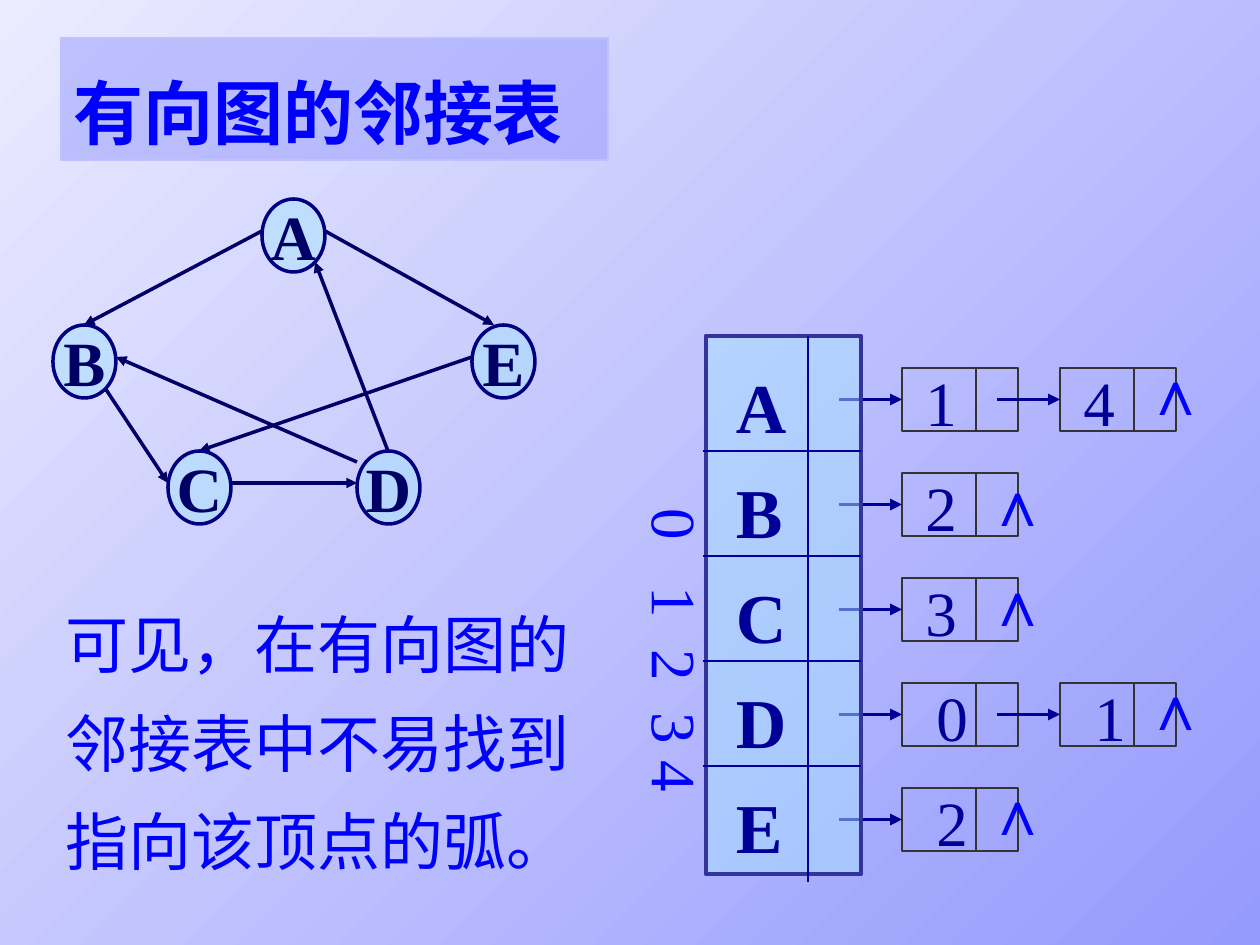
"""Slide on the adjacency list of a directed graph."""
from lxml.etree import SubElement
from pptx import Presentation
from pptx.dml.color import RGBColor
from pptx.enum.shapes import MSO_CONNECTOR, MSO_SHAPE
from pptx.enum.text import MSO_ANCHOR, PP_ALIGN
from pptx.oxml.ns import qn
from pptx.util import Pt

PX = 914400 / 126
COLORS = {
    "light": "EBEBFF", "shade": "959AFD", "title_line": "BEC1FE", "blue": "0000FF",
    "cyan": "A7E2FF", "ring": "000080", "edge": "000066", "ink": "000099",
    "frame": "333399", "cell": "333333",
}
SERIF = "Times New Roman"
TITLE = "有向图的邻接表"
REMARK = "可见，在有向图的邻接表中不易找到指向该顶点的弧。"
VERTICES = {"A": (262, 199), "B": (53, 325), "E": (472, 325), "C": (168, 451), "D": (357, 451)}
ARCS = [
    ((262, 231), (84, 325)), ((105, 388), (168, 483)), ((231, 483), (357, 483)),
    ((388, 451), (315, 262)), ((325, 231), (494, 325)), ((357, 462), (116, 357)),
    ((472, 357), (199, 451)),
]
INDEX_TOPS = {"0": 496, "1": 575, "2": 638, "3": 701, "4": 748}
ROWS = [
    {"targets": "14", "indent": 11, "caret": -22},
    {"targets": "2", "indent": 11, "caret": -16},
    {"targets": "3", "indent": 11, "caret": -21},
    {"targets": "01", "indent": 22, "caret": -22},
    {"targets": "2", "indent": 22, "caret": -22},
]
ROW_TOP, ROW_STEP = 368, 105
NODE_LEFT, NODE_STEP, NODE_W, NODE_H = 902, 158, 116, 63


def emu(*lengths):
    return [round(length * PX) for length in lengths]


def color(name):
    return RGBColor.from_string(COLORS[name])


def write(shape, lines, size, ink, font=SERIF, bold=False, wrap=True,
          spacing=None, align=PP_ALIGN.LEFT, anchor=MSO_ANCHOR.TOP, indent=0):
    frame = shape.text_frame
    frame.word_wrap = wrap
    frame.vertical_anchor = anchor
    for number, line in enumerate(lines):
        para = frame.add_paragraph() if number else frame.paragraphs[0]
        para.text = line
        para.alignment = align
        if spacing:
            para.line_spacing = spacing
        if indent:
            para._p.get_or_add_pPr().set("marL", str(Pt(indent)))
        para.font.size = Pt(size)
        para.font.name = font
        para.font.bold = bold
        para.font.color.rgb = color(ink)


def add_text(page, place, line, size, ink, **style):
    box = page.shapes.add_textbox(*emu(*place))
    write(box, [line], size, ink, **style)
    return box


def add_block(page, kind, place, line, width, fill=None):
    block = page.shapes.add_shape(kind, *emu(*place))
    block.shadow.inherit = False
    block.line.color.rgb = color(line)
    block.line.width = Pt(width)
    if fill:
        block.fill.solid()
        block.fill.fore_color.rgb = color(fill)
        tint = block.element.spPr.find(qn("a:solidFill"))[0]
        SubElement(tint, qn("a:alpha"), val="50000")
    else:
        block.fill.background()
    return block


def add_line(page, start, end, ink, width, arrow=False):
    line = page.shapes.add_connector(MSO_CONNECTOR.STRAIGHT, *emu(*start, *end))
    line.line.color.rgb = color(ink)
    line.line.width = Pt(width)
    if arrow:
        SubElement(line.line._get_or_add_ln(), qn("a:tailEnd"), type="triangle")
    SubElement(line._element.spPr, qn("a:effectLst"))
    return line


def add_list_row(page, top, row):
    middle = top + NODE_H / 2
    for number, target in enumerate(row["targets"]):
        left = NODE_LEFT + number * NODE_STEP
        node = add_block(page, MSO_SHAPE.RECTANGLE, (left, top, NODE_W, NODE_H), "cell", 1)
        add_line(page, (left + 74, top), (left + 74, top + NODE_H), "cell", 1)
        arrow = add_line(page, (left - 63, middle), (left, middle), "ink", 2.25, arrow=True)
        arrow.end_connect(node, 1)
        add_text(page, (left + row["indent"], top - 11, 57, 88), target, 36, "ink", wrap=False)
    add_text(page, (left + 72, top + row["caret"], 45, 88), "∧", 36, "blue",
             font="Arial", wrap=False)


def add_vertex_table(page):
    for digit, top in INDEX_TOPS.items():
        box = add_text(page, (620, top, 101, 57), digit, 36, "blue")
        frame = box.text_frame
        frame.margin_left, frame.margin_right, frame.margin_top, frame.margin_bottom = emu(6, 6, 12, 12)
        frame._txBody.bodyPr.set("vert", "eaVert")
    table = add_block(page, MSO_SHAPE.RECTANGLE, (706, 336, 155, 538), "frame", 2.75, "cyan")
    write(table, sorted(VERTICES), 40, "ink", bold=True, spacing=1.25, indent=10)
    add_line(page, (808, 336), (808, 882), "ink", 1)
    for number in range(len(VERTICES) - 1):
        y = 451 + number * ROW_STEP
        add_line(page, (703, y), (861, y), "ink", 1)


def add_graph(page):
    for start, end in ARCS:
        add_line(page, start, end, "edge", 2, arrow=True)
    for name, (left, top) in VERTICES.items():
        vertex = add_block(page, MSO_SHAPE.OVAL, (left, top, 63, 73), "ring", 2, "cyan")
        write(vertex, [name], 36, "edge", bold=True, wrap=False,
              align=PP_ALIGN.CENTER, anchor=MSO_ANCHOR.MIDDLE)


def main():
    deck = Presentation()
    deck.slide_width, deck.slide_height = emu(1260, 945)
    page = deck.slides.add_slide(deck.slide_layouts[6])
    backdrop = page.background.fill
    backdrop.gradient()
    backdrop.gradient_angle = 135
    for stop, name, position in zip(backdrop.gradient_stops, ("shade", "light"), (0, 1)):
        stop.color.rgb = color(name)
        stop.position = position

    for number, row in enumerate(ROWS):
        add_list_row(page, ROW_TOP + number * ROW_STEP, row)
    add_vertex_table(page)
    title = add_block(page, MSO_SHAPE.RECTANGLE, (61, 38, 547, 122), "title_line", 1, "shade")
    write(title, [TITLE], 40, "blue", bold=True, spacing=1.3)
    add_graph(page)
    add_text(page, (53, 577, 557, 307), REMARK, 36, "blue", spacing=1.3)
    deck.save("out.pptx")


if __name__ == "__main__":
    main()
